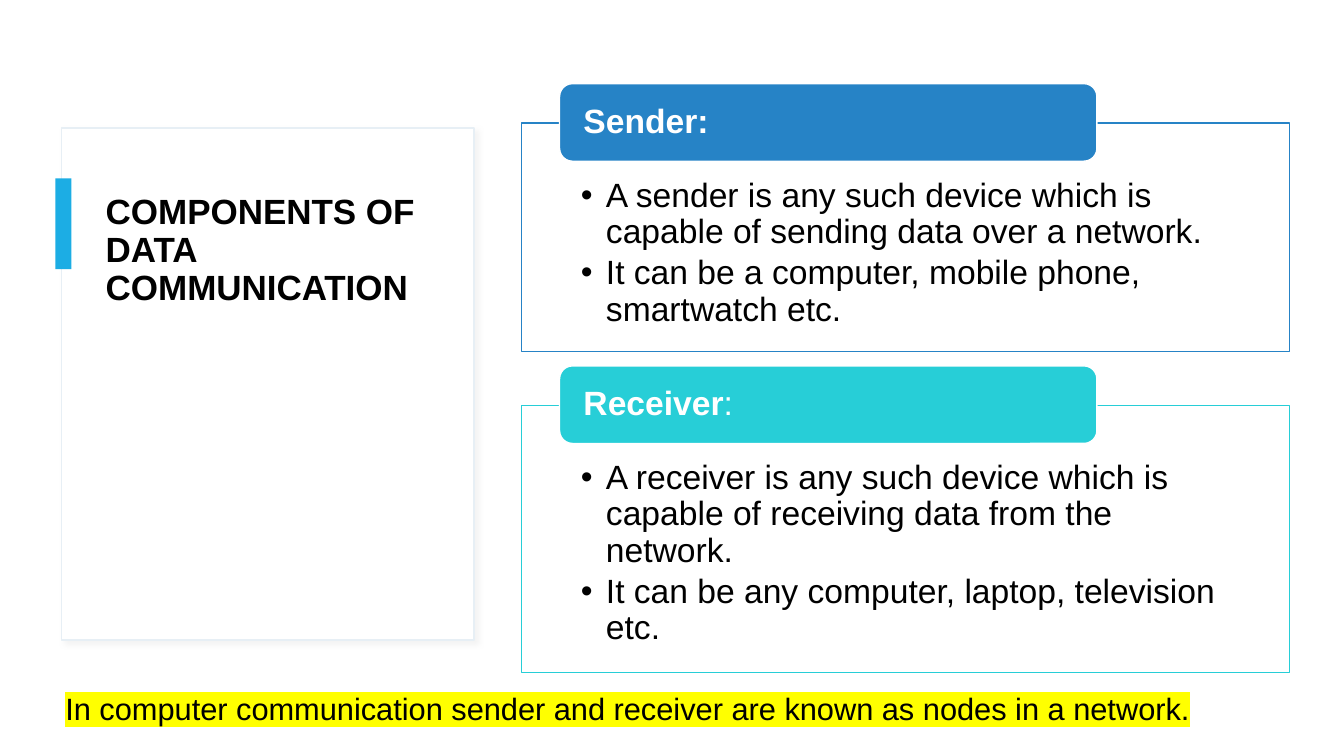
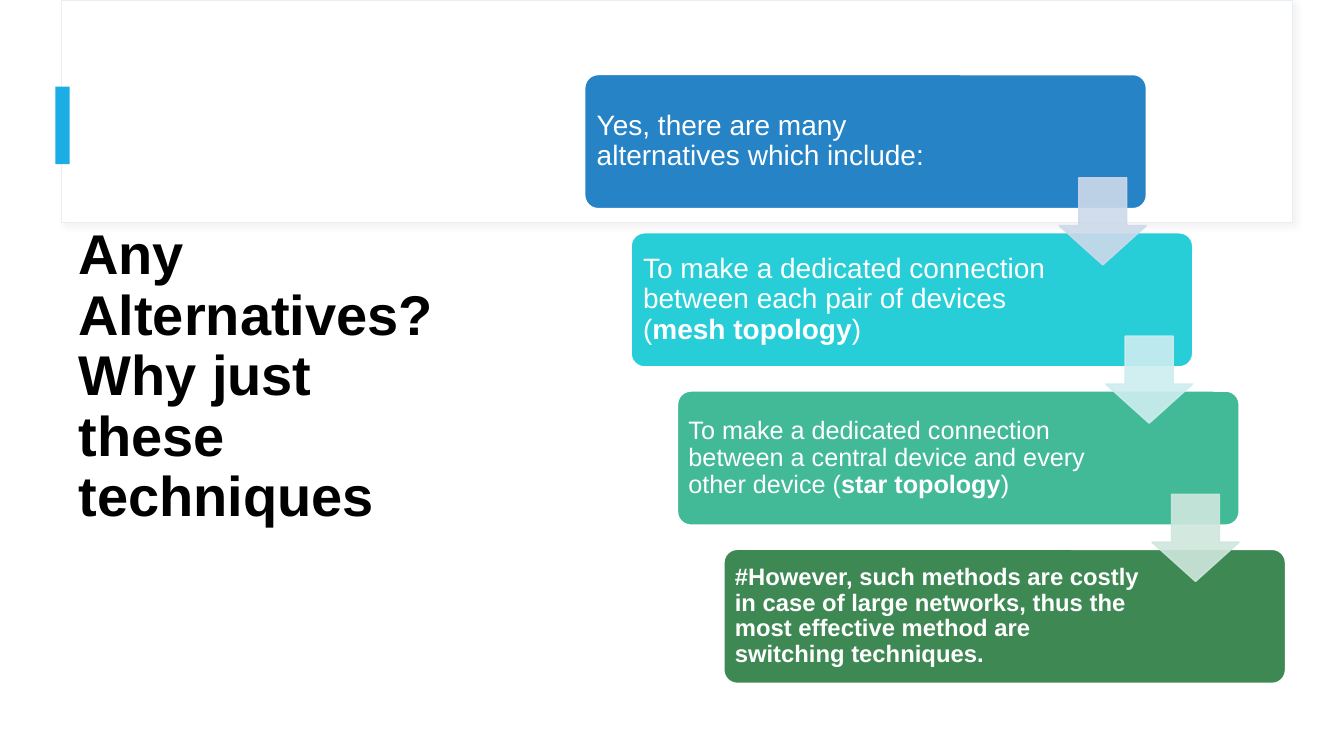
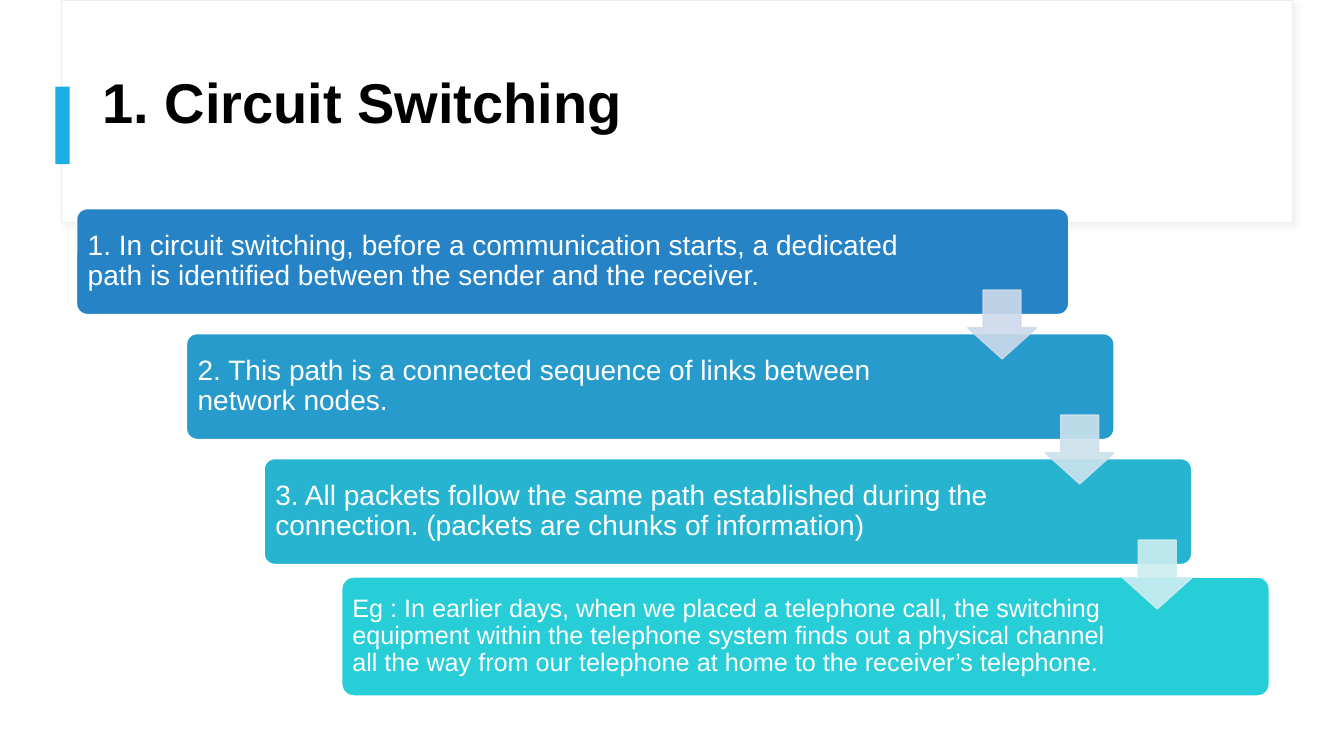
"""Build three slides on data communication and circuit switching."""
from dataclasses import dataclass
from typing import NamedTuple

from lxml import etree
from pptx import Presentation
from pptx.dml.color import RGBColor
from pptx.enum.shapes import MSO_SHAPE
from pptx.enum.text import MSO_ANCHOR, PP_ALIGN
from pptx.oxml.ns import qn
from pptx.shapes.autoshape import Shape
from pptx.slide import Slide
from pptx.text.text import TextFrame
from pptx.util import Inches, Pt

RECT = MSO_SHAPE.RECTANGLE
ROUNDED = MSO_SHAPE.ROUNDED_RECTANGLE
DOWN_ARROW = MSO_SHAPE.DOWN_ARROW
TOP, MIDDLE, BOTTOM = MSO_ANCHOR.TOP, MSO_ANCHOR.MIDDLE, MSO_ANCHOR.BOTTOM
LEFT = PP_ALIGN.LEFT


@dataclass(frozen=True)
class Theme:
    font: str = "Arial"
    white: str = "FFFFFF"
    black: str = "000000"
    panel_line: str = "E7EFF5"
    panel_shadow: str = "D9D9D9"
    accent: str = "1CADE4"
    highlight: str = "FFFF00"
    blue: str = "2683C6"
    azure: str = "269BCC"
    teal: str = "27B4D1"
    cyan: str = "27CED7"
    mint: str = "42BA97"
    green: str = "3E8853"
    pale_blue: str = "CDD9EA"
    pale_azure: str = "CDE2ED"
    pale_cyan: str = "CDEDF0"
    pale_mint: str = "CFE7DD"
    title_size: float = 40
    side_title_size: float = 25
    body_size: float = 24
    note_size: float = 22
    step_size: float = 20
    long_step_size: float = 18
    closing_size: float = 17
    line_spacing: float = 0.9
    arrow_opacity: int = 90


THEME = Theme()


class Box(NamedTuple):
    left: float
    top: float
    width: float
    height: float


class Insets(NamedTuple):
    left: float = 0.1
    top: float = 0.05
    right: float = 0.1
    bottom: float = 0.05


class Phrase(NamedTuple):
    text: str
    bold: bool = False


@dataclass(frozen=True)
class TextStyle:
    size: float
    color: str = THEME.black
    anchor: MSO_ANCHOR = TOP
    insets: Insets = Insets()
    line_spacing: float = THEME.line_spacing
    bulleted: bool = False


@dataclass(frozen=True)
class Component:
    heading: list[Phrase]
    points: list[str]
    color: str
    top: float
    height: float


@dataclass(frozen=True)
class Step:
    phrases: list[Phrase]
    color: str
    text_width: float
    size: float = THEME.step_size
    extra_width: float = 0
    extra_height: float = 0


@dataclass(frozen=True)
class Cascade:
    first: Box
    pitch_x: float
    pitch_y: float
    steps: list[Step]
    arrow_colors: list[str]


COMPONENTS = [
    Component(
        [Phrase("Sender:", True)],
        ["A sender is any such device which is capable of sending data over a network.",
         "It can be a computer, mobile phone, smartwatch etc."],
        THEME.blue, 1.22, 2.27),
    Component(
        [Phrase("Receiver", True), Phrase(":")],
        ["A receiver is any such device which is capable of receiving data from the network.",
         "It can be any computer, laptop, television etc."],
        THEME.cyan, 4.02, 2.65),
]

ALTERNATIVES = Cascade(
    Box(5.8, 0.74, 5.57, 1.33), 0.46, 1.57,
    [
        Step([Phrase("Yes, there are many alternatives which include:")], THEME.blue, 4.02),
        Step([Phrase("To make a dedicated connection between each pair of devices ("),
              Phrase("mesh topology", True), Phrase(")")], THEME.cyan, 4.16),
        Step([Phrase("To make a dedicated connection between a central device "
                     "and every other device ("),
              Phrase("star topology", True), Phrase(")")],
             THEME.mint, 4.17, THEME.long_step_size),
        Step([Phrase("#However, such methods are costly in case of large networks, "
                     "thus the most effective method are switching techniques.", True)],
             THEME.green, 4.16, THEME.closing_size),
    ],
    [THEME.pale_blue, THEME.pale_cyan, THEME.pale_mint])

CIRCUIT_SWITCHING = Cascade(
    Box(1.08, 2.07, 9.2, 1.05), 0.77, 1.24,
    [
        Step([Phrase("1. In circuit switching, before a communication starts, a dedicated "
                     "path is identified between the sender and the receiver.")],
             THEME.blue, 8.54, extra_width=0.64),
        Step([Phrase("2. This path is a connected sequence of links between network nodes.")],
             THEME.azure, 7.69),
        Step([Phrase("3. All packets follow the same path established during the connection. "
                     "(packets are chunks of information)")], THEME.teal, 7.7),
        Step([Phrase("Eg : In earlier days, when we placed a telephone call, the switching "
                     "equipment within the telephone system finds out a physical channel all "
                     "the way from our telephone at home to the receiver’s telephone.")],
             THEME.cyan, 7.68, THEME.long_step_size, extra_height=0.13),
    ],
    [THEME.pale_blue, THEME.pale_azure, THEME.pale_cyan])


def add_block(slide: Slide, kind: MSO_SHAPE, box: Box, fill: str,
              line: str | None = None, line_width: float = 1) -> Shape:
    block = slide.shapes.add_shape(kind, *map(Inches, box))
    block.shadow.inherit = False
    block.fill.solid()
    block.fill.fore_color.rgb = RGBColor.from_string(fill)
    if line:
        block.line.color.rgb = RGBColor.from_string(line)
        block.line.width = Pt(line_width)
    else:
        block.line.fill.background()
    return block


def set_opacity(block: Shape, percent: int) -> None:
    for color in block._element.spPr.iter(qn("a:srgbClr")):
        etree.SubElement(color, qn("a:alpha"), val=str(percent * 1000))


def write(frame: TextFrame, paragraphs: list[list[Phrase]], style: TextStyle) -> None:
    frame.word_wrap = True
    frame.vertical_anchor = style.anchor
    frame.margin_left, frame.margin_top, frame.margin_right, frame.margin_bottom = map(
        Inches, style.insets)
    for index, phrases in enumerate(paragraphs):
        paragraph = frame.paragraphs[0] if index == 0 else frame.add_paragraph()
        paragraph.alignment = LEFT
        paragraph.line_spacing = style.line_spacing
        if style.bulleted:
            paragraph.space_after = Pt(3.5)
            properties = paragraph._p.get_or_add_pPr()
            properties.set("marL", str(Inches(0.25)))
            properties.set("indent", str(Inches(-0.25)))
            etree.SubElement(properties, qn("a:buFont"), typeface=THEME.font)
            etree.SubElement(properties, qn("a:buChar"), char="•")
        for phrase in phrases:
            run = paragraph.add_run()
            run.text = phrase.text
            run.font.name = THEME.font
            run.font.size = Pt(style.size)
            run.font.bold = phrase.bold
            run.font.color.rgb = RGBColor.from_string(style.color)


def add_text(slide: Slide, box: Box, phrase: Phrase, style: TextStyle) -> TextFrame:
    frame = slide.shapes.add_textbox(*map(Inches, box)).text_frame
    write(frame, [[phrase]], style)
    return frame


def add_title(slide: Slide, box: Box, title: str, size: float, anchor: MSO_ANCHOR) -> None:
    add_text(slide, box, Phrase(title, True), TextStyle(size, anchor=anchor))


def add_panel(slide: Slide, panel_box: Box, line_width: float, accent_box: Box) -> None:
    panel = add_block(slide, RECT, panel_box, THEME.white, THEME.panel_line, line_width)
    effects = panel._element.spPr.find(qn("a:effectLst"))
    shadow = etree.SubElement(effects, qn("a:outerShdw"), blurRad=str(Pt(4)),
                              dist=str(Pt(3)), dir=str(45 * 60000), rotWithShape="0")
    color = etree.SubElement(shadow, qn("a:srgbClr"), val=THEME.panel_shadow)
    etree.SubElement(color, qn("a:alpha"), val="30000")
    add_block(slide, RECT, accent_box, THEME.accent)


def add_header_panel(slide: Slide) -> None:
    add_panel(slide, Box(0.61, 0, 12.21, 2.21), 0.75, Box(0.55, 0.86, 0.14, 0.77))


def add_component(slide: Slide, component: Component) -> None:
    details = add_block(slide, RECT, Box(5.17, component.top, 7.62, component.height),
                        THEME.white, component.color)
    write(details.text_frame, [[Phrase(point)] for point in component.points],
          TextStyle(THEME.body_size, insets=Insets(0.59, 0.55, 0.59, 0.19), bulleted=True))
    heading = add_block(slide, ROUNDED, Box(5.55, component.top - 0.39, 5.33, 0.77),
                        component.color, THEME.white)
    write(heading.text_frame, [component.heading],
          TextStyle(THEME.body_size, THEME.white, MIDDLE, Insets(0.2, 0, 0.2, 0)))


def add_cascade(slide: Slide, cascade: Cascade) -> None:
    first = cascade.first
    for index, step in enumerate(cascade.steps):
        width = first.width + step.extra_width
        box = Box(first.left + index * cascade.pitch_x - step.extra_width / 2,
                  first.top + index * cascade.pitch_y - step.extra_height / 2,
                  width, first.height + step.extra_height)
        card = add_block(slide, ROUNDED, box, step.color, THEME.white)
        card.adjustments[0] = 0.1
        inset = 0.08 if step.size == THEME.step_size else 0.07
        write(card.text_frame, [step.phrases],
              TextStyle(step.size, THEME.white, MIDDLE,
                        Insets(inset, inset, width - step.text_width, inset)))
    side = 0.65 * first.height
    for index, color in enumerate(cascade.arrow_colors):
        box = Box(first.left + index * cascade.pitch_x + first.width - side,
                  first.top + index * cascade.pitch_y + 0.77 * first.height, side, side)
        arrow = add_block(slide, DOWN_ARROW, box, color, color)
        arrow.adjustments[0] = 0.55
        arrow.adjustments[1] = 0.45
        set_opacity(arrow, THEME.arrow_opacity)


def build_components(slide: Slide) -> None:
    add_panel(slide, Box(0.61, 1.27, 4.09, 5.08), 1, Box(0.55, 1.77, 0.16, 0.9))
    add_title(slide, Box(0.95, 1.88, 3.39, 3.85), "COMPONENTS OF DATA COMMUNICATION",
              THEME.side_title_size, TOP)
    for component in COMPONENTS:
        add_component(slide, component)
    note = add_text(
        slide, Box(0.55, 6.79, 12.37, 0.47),
        Phrase("In computer communication sender and receiver are known as nodes in a network."),
        TextStyle(THEME.note_size, line_spacing=1.0))
    fill = note.paragraphs[0].runs[0]._r.rPr.find(qn("a:solidFill"))
    marker = etree.Element(qn("a:highlight"))
    etree.SubElement(marker, qn("a:srgbClr"), val=THEME.highlight)
    fill.addnext(marker)


def build_alternatives(slide: Slide) -> None:
    add_header_panel(slide)
    add_title(slide, Box(0.68, 1.27, 3.94, 4.95),
              "Any Alternatives? Why just these techniques", THEME.title_size, MIDDLE)
    add_cascade(slide, ALTERNATIVES)


def build_circuit_switching(slide: Slide) -> None:
    add_header_panel(slide)
    add_title(slide, Box(0.92, 0.28, 11.49, 1.11), "1. Circuit Switching",
              THEME.title_size, BOTTOM)
    add_cascade(slide, CIRCUIT_SWITCHING)


def main() -> None:
    deck = Presentation()
    deck.slide_width, deck.slide_height = Inches(13.33), Inches(7.5)
    blank = deck.slide_layouts[6]
    for build in (build_components, build_alternatives, build_circuit_switching):
        build(deck.slides.add_slide(blank))
    deck.save("out.pptx")


if __name__ == "__main__":
    main()
